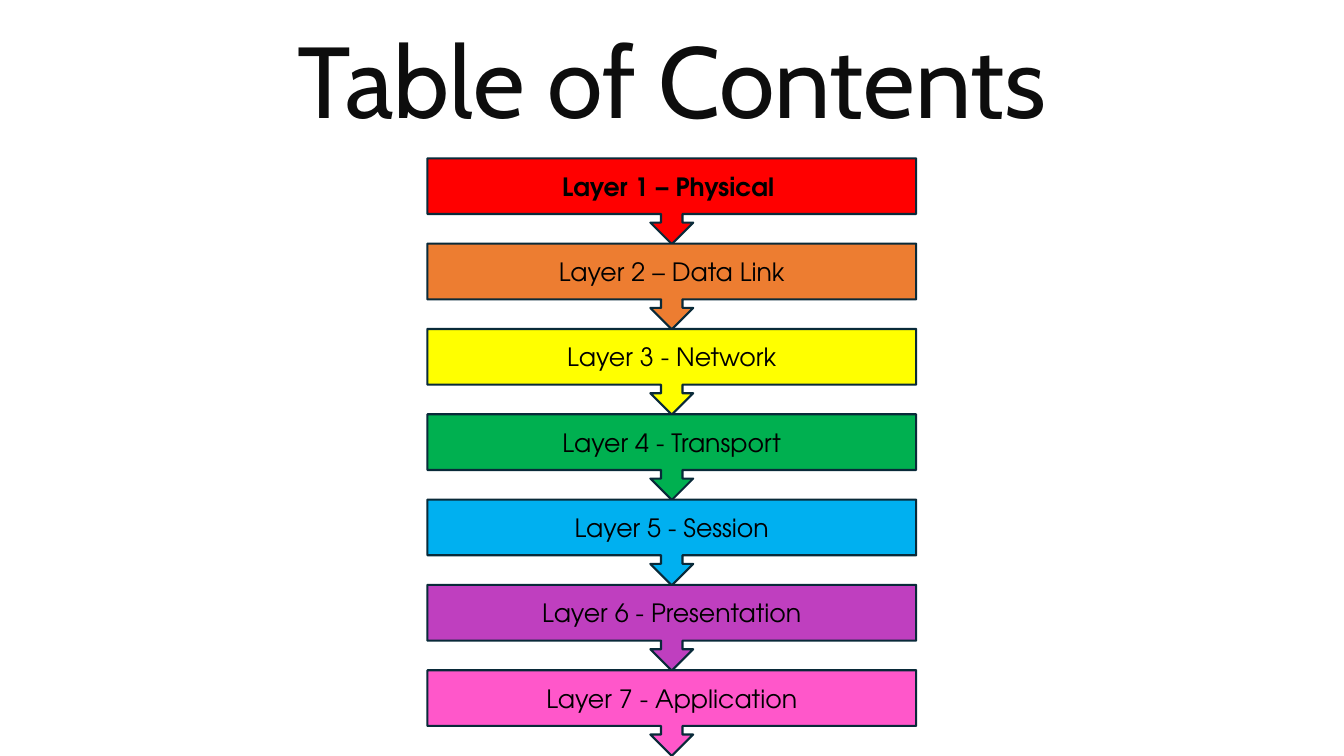
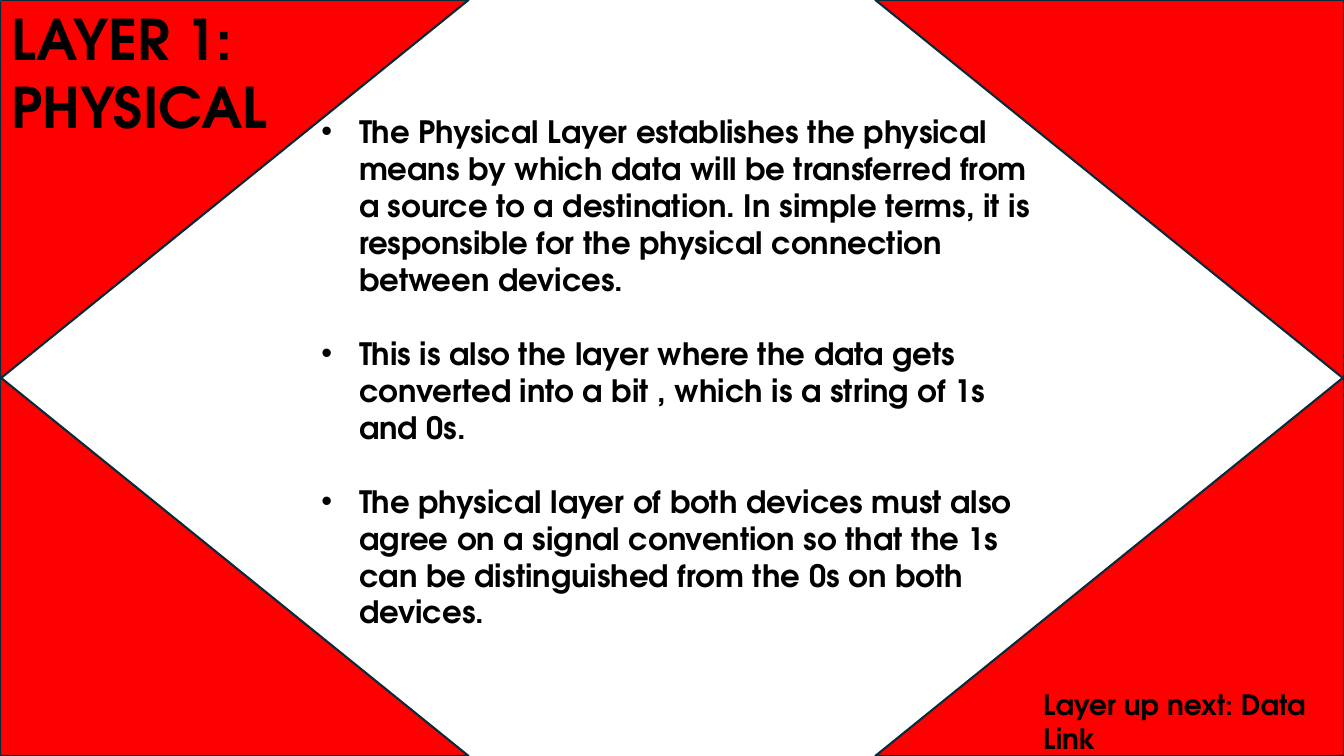
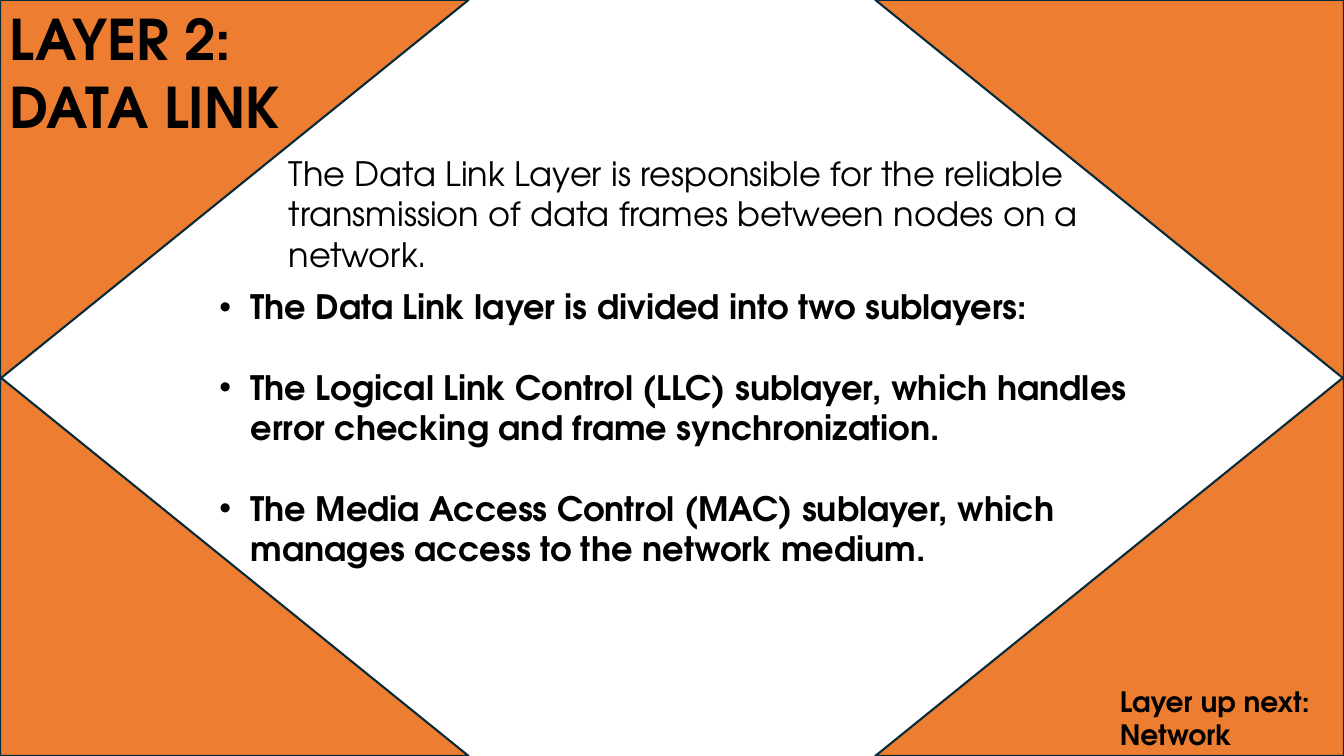
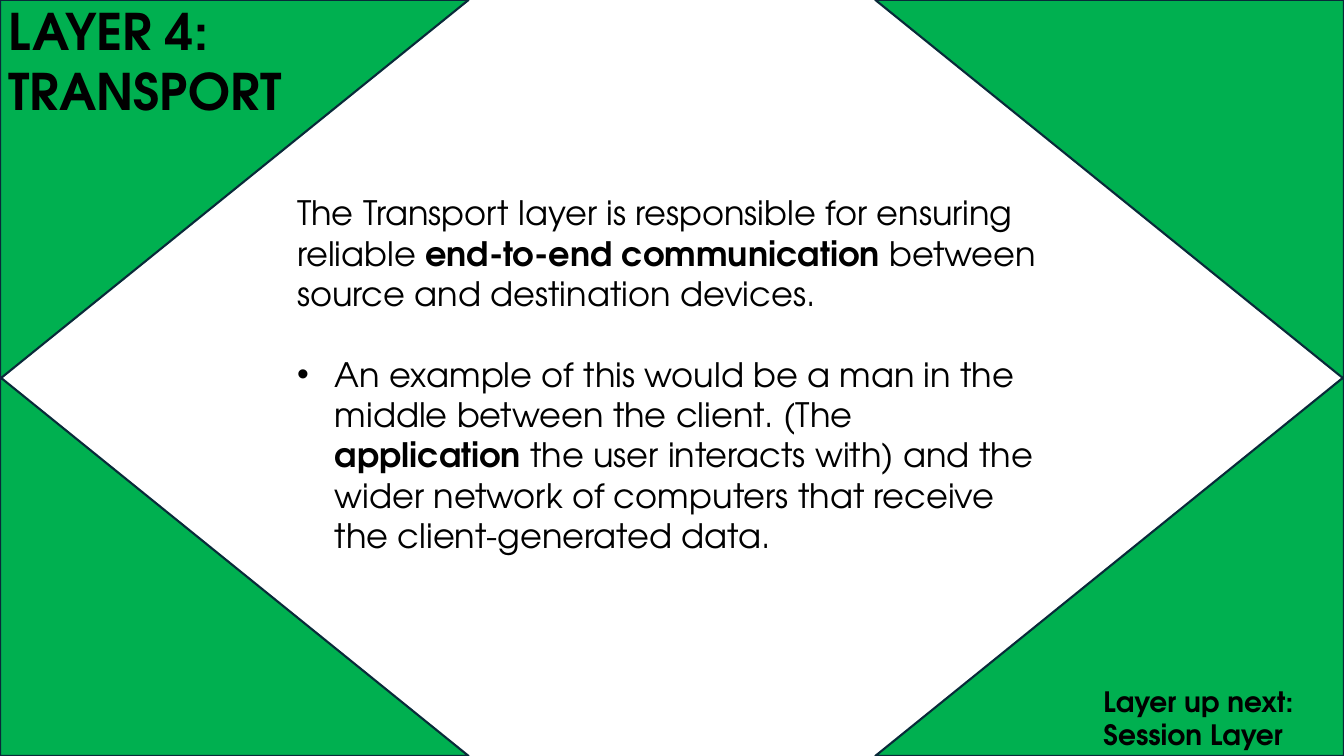
"""Build four slides on the layers of a network model."""
from lxml.etree import SubElement
from pptx import Presentation
from pptx.dml.color import RGBColor
from pptx.enum.shapes import MSO_SHAPE
from pptx.enum.text import MSO_ANCHOR, PP_ALIGN
from pptx.oxml.ns import qn
from pptx.util import Cm, Pt

WIDE, HIGH = 33.87, 19.05
WING_W, WING_H = 11.81, 9.55
FONT, HEAD_FONT = "TeX Gyre Adventor", "Cabin"
BLACK = RGBColor(0x00, 0x00, 0x00)
INK = RGBColor(0x0D, 0x0D, 0x0D)
EDGE = RGBColor(0x09, 0x2A, 0x39)
RED = RGBColor(0xFF, 0x00, 0x00)
ORANGE = RGBColor(0xED, 0x7D, 0x31)
YELLOW = RGBColor(0xFF, 0xFF, 0x00)
GREEN = RGBColor(0x00, 0xB0, 0x50)
BLUE = RGBColor(0x00, 0xB0, 0xF0)
PURPLE = RGBColor(0xBF, 0x3F, 0xBF)
PINK = RGBColor(0xFF, 0x57, 0xCA)

LAYERS = [
    ("Layer 1 – Physical ", RED),
    ("Layer 2 – Data Link", ORANGE),
    ("Layer 3 - Network", YELLOW),
    ("Layer 4 - Transport", GREEN),
    ("Layer 5 - Session", BLUE),
    ("Layer 6 - Presentation", PURPLE),
    ("Layer 7 - Application", PINK),
]


def add_run(para, text, size, bold=False, font=FONT, color=BLACK):
    run = para.add_run()
    run.text = text
    run.font.name = font
    run.font.size = Pt(size)
    run.font.bold = bold
    run.font.color.rgb = color


def add_box(slide, left, top, width, height):
    frame = slide.shapes.add_textbox(
        Cm(left), Cm(top), Cm(width), Cm(height)).text_frame
    frame.word_wrap = True
    return frame


def add_shape(shapes, kind, left, top, width, height, color):
    shape = shapes.add_shape(kind, Cm(left), Cm(top), Cm(width), Cm(height))
    shape.shadow.inherit = False
    shape.fill.solid()
    shape.fill.fore_color.rgb = color
    shape.line.color.rgb = EDGE
    shape.line.width = Pt(1.5)
    return shape


def set_bullet(para, indent):
    props = para._p.get_or_add_pPr()
    props.set("marL", str(Cm(indent)))
    props.set("indent", str(-Cm(indent)))
    SubElement(props, qn("a:buFont"), typeface="Arial")
    SubElement(props, qn("a:buChar"), char="•")


def add_text(slide, place, size, paras):
    """Write paragraphs of (indent, runs), a line apart; indent 0 has no bullet."""
    frame = add_box(slide, *place)
    for i, (indent, runs) in enumerate(paras):
        para = frame.add_paragraph() if i else frame.paragraphs[0]
        if i:
            para.space_before = Pt(1.2 * size)
        if indent:
            set_bullet(para, indent)
        for text, bold in runs:
            add_run(para, text, size, bold)


def add_wings(slide, color):
    """Fill the four corners with right triangles."""
    for right in (False, True):
        for upper in (False, True):
            wing = add_shape(slide.shapes, MSO_SHAPE.RIGHT_TRIANGLE,
                             WIDE - WING_W if right else 0,
                             0 if upper else HIGH - WING_H,
                             WING_W, WING_H, color)
            frame = wing.element.spPr.get_or_add_xfrm()
            frame.set("flipH", str(int(right)))
            frame.set("flipV", str(int(upper)))


def add_layer(deck, color, title, place, size, after, left, top):
    """Add a layer slide with its corners, title and footer."""
    slide = deck.slides.add_slide(deck.slide_layouts[6])
    add_wings(slide, color)
    add_text(slide, place, size, [(0, [(title, True)])])
    add_text(slide, (left, top, WIDE - left, 1.95), 20,
             [(0, [("Layer up next: " + after, True)])])
    return slide


def add_index(deck):
    """Add the contents slide with its stack of layers."""
    slide = deck.slides.add_slide(deck.slide_layouts[6])
    frame = add_box(slide, 4.95, 0, 23.98, 4.32)
    frame.vertical_anchor = MSO_ANCHOR.MIDDLE
    para = frame.paragraphs[0]
    para.alignment = PP_ALIGN.CENTER
    para.line_spacing = 0.9
    add_run(para, "Table of Contents", 72, font=HEAD_FONT, color=INK)
    group = slide.shapes.add_group_shape()
    for i, (name, color) in enumerate(LAYERS):
        step = add_shape(group.shapes, MSO_SHAPE.DOWN_ARROW_CALLOUT,
                         10.77, 3.99 + 2.15 * i, 12.32, 2.16, color)
        step.text_frame.vertical_anchor = MSO_ANCHOR.MIDDLE
        para = step.text_frame.paragraphs[0]
        para.alignment = PP_ALIGN.CENTER
        add_run(para, name, 18, bold=i == 0)


def main():
    deck = Presentation()
    deck.slide_width, deck.slide_height = Cm(WIDE), Cm(HIGH)
    add_index(deck)

    slide = add_layer(deck, RED, "LAYER 1: PHYSICAL", (0.03, 0, 7.82, 3.68),
                      40, "Data Link", 26.04, 17.2)
    add_text(slide, (7.85, 2.72, 18.8, 14.35), 22, [
        (0.95, [("The Physical Layer establishes the physical means by which "
                 "data will be transferred from a source to a destination. In "
                 "simple terms, it is responsible for the physical connection "
                 "between devices.", True)]),
        (0.95, [("This is also the layer where the data gets converted into a "
                 "bit , which is a string of 1s and 0s.", True)]),
        (0.95, [("The physical layer of both devices must also agree on a "
                 "signal convention so that the 1s can be distinguished from "
                 "the 0s on both devices.", True)]),
    ])

    slide = add_layer(deck, ORANGE, "LAYER 2: DATA LINK", (0, 0, 7.62, 3.68),
                      40, "Network", 27.97, 17.12)
    add_text(slide, (7.03, 3.73, 20.62, 3.33), 24, [
        (0, [("The Data Link Layer is responsible for the reliable "
              "transmission of data frames between nodes on a network.",
              False)]),
    ])
    add_text(slide, (5.28, 7.09, 25.02, 7.44), 24, [
        (0.79, [("The Data Link layer is divided into two sublayers:", True)]),
        (0.79, [("The Logical Link Control (LLC) sublayer, which handles "
                 "error checking and frame synchronization.", True)]),
        (0.79, [("The Media Access Control (MAC) sublayer, which manages "
                 "access to the network medium.", True)]),
    ])

    slide = add_layer(deck, GREEN, "LAYER 4: TRANSPORT",
                      (-0.03, -0.13, 8.46, 3.33),
                      36, "Session Layer", 27.56, 17.12)
    add_text(slide, (7.24, 4.72, 19.38, 9.5), 24, [
        (0, [("The Transport layer is responsible for ensuring reliable ",
              False),
             ("end-to-end communication ", True),
             ("between source and destination devices.", False)]),
        (0.95, [("An example of this would be a man in the middle between "
                 "the client. (The ", False),
                ("application ", True),
                ("the user interacts with) and the wider network of computers "
                 "that receive the client-generated data.", False)]),
    ])
    deck.save("out.pptx")


if __name__ == "__main__":
    main()
